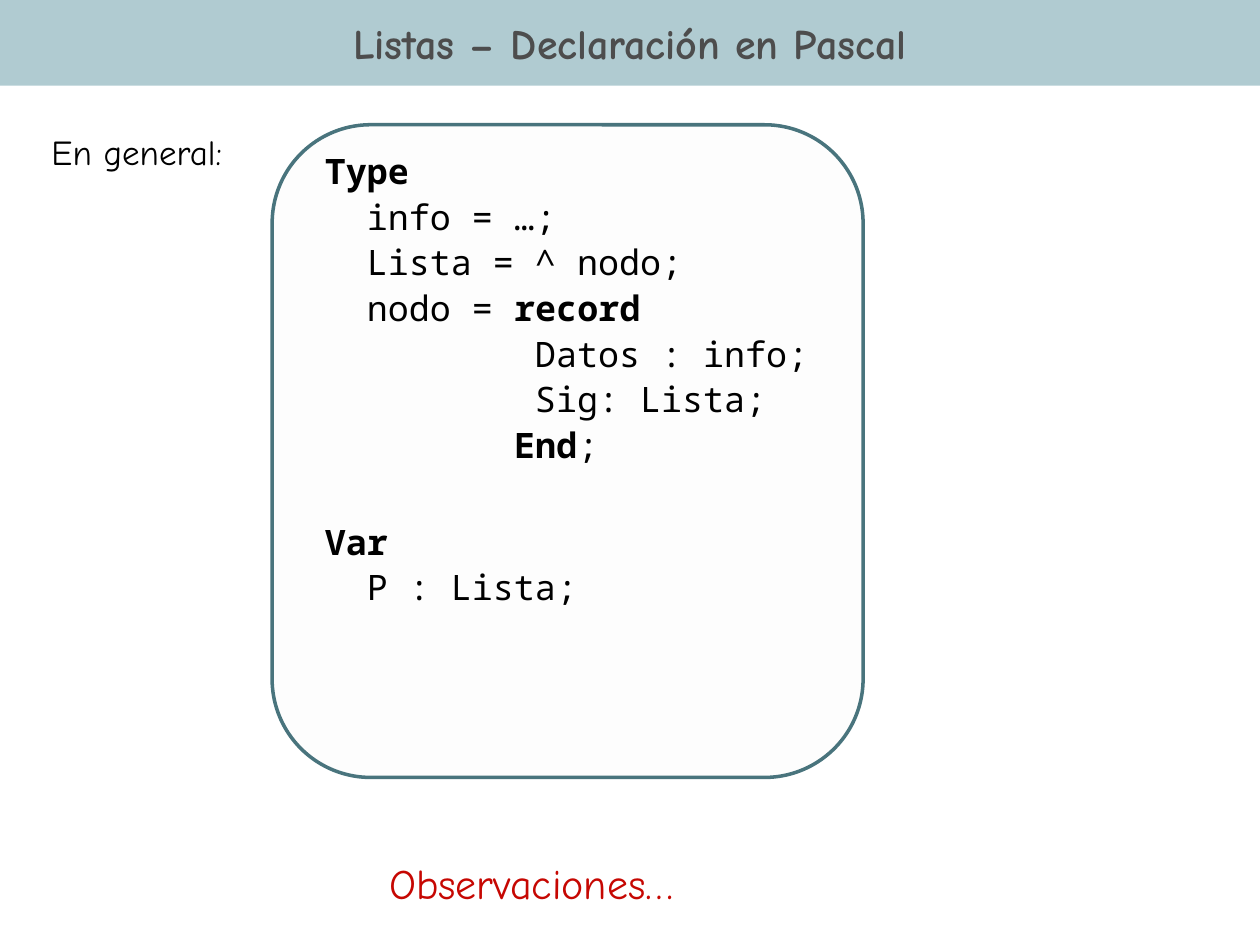
from pptx import Presentation
from pptx.dml.color import RGBColor
from pptx.enum.shapes import MSO_SHAPE as Shape
from pptx.enum.text import MSO_ANCHOR as Anchor, PP_ALIGN as Align
from pptx.util import Inches, Pt


def color(hex_code):
    return RGBColor.from_string(hex_code)


class Deck:
    """Style and current slide; lengths are cells of a 100 x 75 grid."""
    COLS, ROWS = 100, 75
    TEXT, CODE = "Comic Neue", "Noto Sans Mono"
    BLACK, GREY, RED = "000000", "4D4D4D", "C60702"
    BAND, PANEL, EDGE = "B0CBD1", "FDFDFD", "49747D"

    def __init__(self):
        self.prs = Presentation()
        self.prs.slide_width, self.prs.slide_height = Inches(10), Inches(7.5)
        self.s = self.prs.slides.add_slide(self.prs.slide_layouts[6])

    def box(self, col, row, cols, rows):
        dx = self.prs.slide_width / self.COLS
        dy = self.prs.slide_height / self.ROWS
        return [round(v) for v in (col * dx, row * dy, cols * dx, rows * dy)]

    def shape(self, kind, cells, fill, edge=None):
        sp = self.s.shapes.add_shape(kind, *self.box(*cells))
        sp.shadow.inherit = False
        sp.fill.solid()
        sp.fill.fore_color.rgb = color(fill)
        if edge:
            sp.line.color.rgb = color(edge)
            sp.line.width = Pt(2)
        else:
            sp.line.fill.background()
        return sp

    def textbox(self, cells):
        sp = self.s.shapes.add_textbox(*self.box(*cells))
        sp.text_frame.word_wrap = True
        return sp

    def run(self, p, text, size, hex_code, font=TEXT, bold=False):
        r = p.add_run()
        r.text = text
        r.font.name, r.font.size, r.font.bold = font, Pt(size), bold
        r.font.color.rgb = color(hex_code)

    def label(self, sp, text, size, hex_code, align=Align.LEFT, bold=False):
        p = sp.text_frame.paragraphs[0]
        p.alignment = align
        self.run(p, text, size, hex_code, bold=bold)

    def code(self, cells, blocks, size=20, gap=5, block_gap=34):
        """Each block is a list of lines; each line a list of (text, bold)."""
        tf = self.textbox(cells).text_frame
        tf.margin_top = Inches(0.08)
        p = None
        for block in blocks:
            for i, line in enumerate(block):
                if p is None:
                    p = tf.paragraphs[0]
                else:
                    p = tf.add_paragraph()
                    p.space_before = Pt(gap if i else block_gap)
                p.alignment = Align.JUSTIFY
                p.line_spacing = 0.88
                for text, bold in line:
                    self.run(p, text, size, self.BLACK, self.CODE, bold)


TYPE_BLOCK = [
    [("Type", True)],
    [("  info = …;", False)],
    [("  Lista = ^ nodo;", False)],
    [("  nodo = ", False), ("record", True)],
    [("          Datos : info;", False)],
    [("          Sig: Lista;", False)],
    [("         ", False), ("End", True), (";", False)],
]
VAR_BLOCK = [
    [("Var", True)],
    [("  P : Lista;", False)],
]


def main():
    deck = Deck()

    # Code panel
    deck.shape(Shape.ROUNDED_RECTANGLE, (21.6, 9.9, 46.9, 51.8), deck.PANEL, deck.EDGE)
    deck.code((24.8, 11.5, 43.7, 44.8), [TYPE_BLOCK, VAR_BLOCK])

    # Closing remark
    remark = deck.textbox((29.9, 67.6, 34.3, 5))
    deck.label(remark, "Observaciones…", 24, deck.RED, Align.JUSTIFY)

    # Title band
    band = deck.shape(Shape.RECTANGLE, (0, 0, deck.COLS, 6.8), deck.BAND)
    band.text_frame.vertical_anchor = Anchor.MIDDLE
    deck.label(band, "Listas – Declaración en Pascal", 24, deck.GREY, Align.CENTER, True)

    # Side label
    deck.label(deck.textbox((3.1, 9.9, 16.5, 7.7)), "En general:", 20, deck.BLACK)

    deck.prs.save("out.pptx")


if __name__ == "__main__":
    main()
